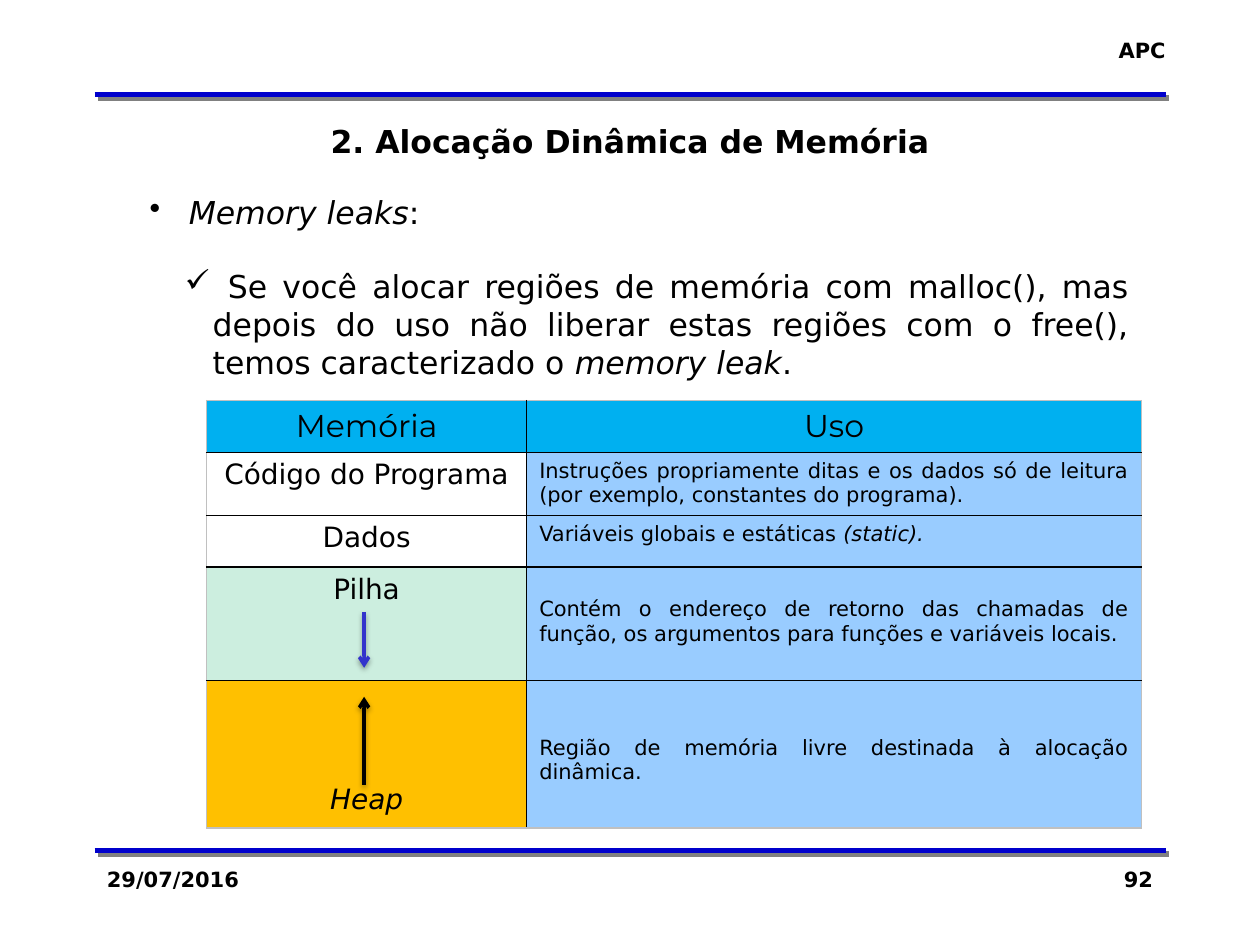
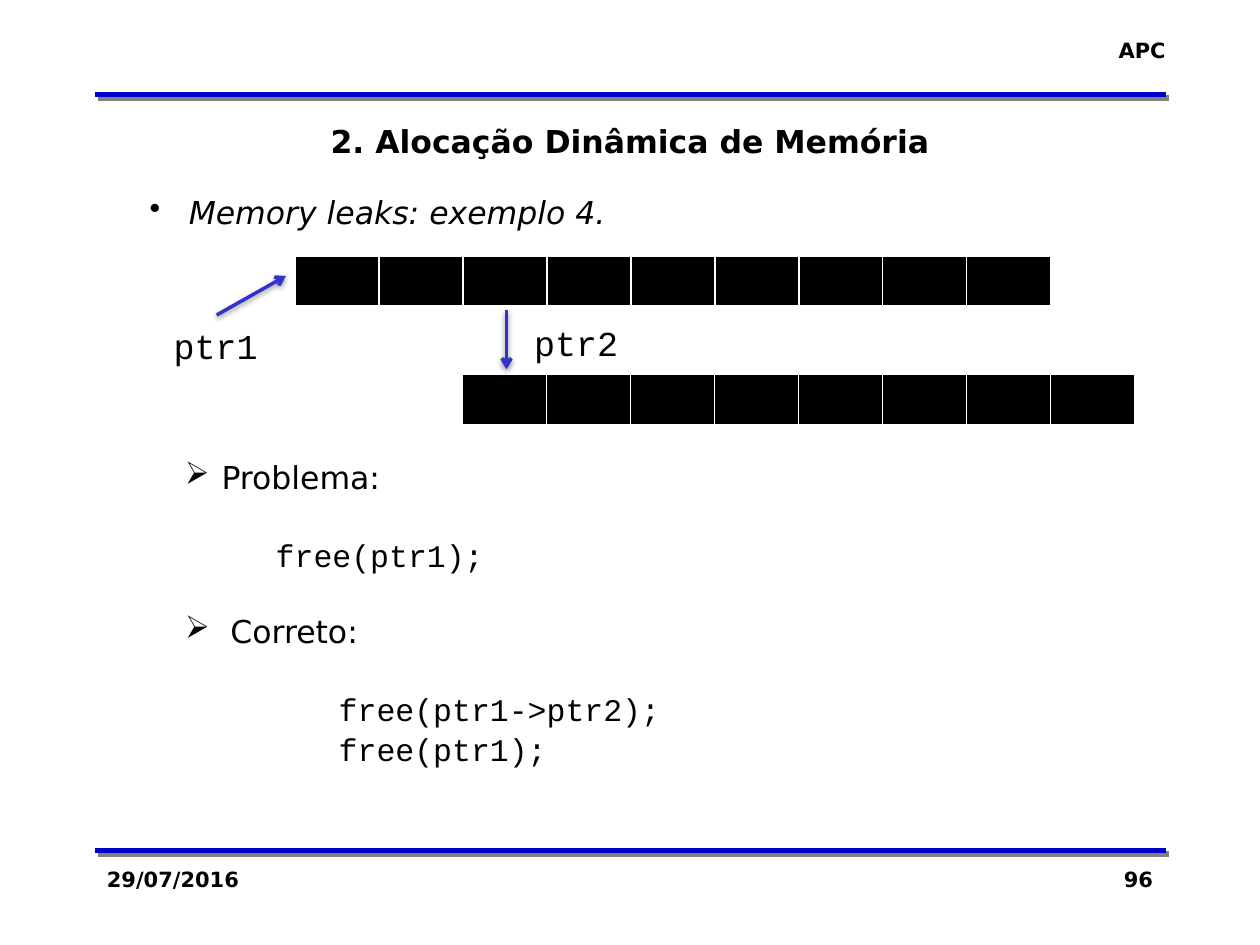
from lxml import etree
from pptx import Presentation
from pptx.dml.color import RGBColor
from pptx.enum.shapes import MSO_CONNECTOR
from pptx.enum.text import PP_ALIGN as Align
from pptx.oxml import parse_xml
from pptx.oxml.ns import nsdecls, qn
from pptx.util import Inches, Pt

COLORS = {
    "text": "000000", "rule": "0000CC", "rule_shadow": "808080",
    "arrow": "3333CC", "black": "000000", "white": "FFFFFF",
    "edge": "C0C0C0", "header": "00B0F0", "use": "99CCFF",
    "stack": "CCEEDF", "heap": "FFC000",
}
SANS, MONO, HEADING = "DejaVu Sans", "Courier New", "Montserrat"


class Deck:
    """Holds the shared style and the slide being drawn."""

    def __init__(self):
        self.prs = Presentation()
        self.prs.slide_width, self.prs.slide_height = Inches(10), Inches(7.5)
        self.s = None

    def new_slide(self, title, number):
        self.s = self.prs.slides.add_slide(self.prs.slide_layouts[6])
        for y in (6.75, 0.75):
            self.line(0.75, y, 9.25, y, "rule", 3, ("rule_shadow", 100, 0, 2.8, 45))
        self.text("APC", 8.77, 0.25, 0.58, 0.3, size=12, bold=True,
                  align=Align.RIGHT, wrap=False)
        self.text("29/07/2016", 0.75, 6.83, 2.08, 0.5, size=12, bold=True)
        self.text(number, 7.17, 6.83, 2.08, 0.5, size=12, bold=True, align=Align.RIGHT)
        self.text(title, 0.75, 0.92, 8.5, 0.4, bold=True, align=Align.CENTER)

    def line(self, x1, y1, x2, y2, color, width, shadow):
        """Shadow is colour, opacity in percent, blur and distance in points, angle."""
        line = self.s.shapes.add_connector(
            MSO_CONNECTOR.STRAIGHT, Inches(x1), Inches(y1), Inches(x2), Inches(y2))
        line.line.color.rgb = RGBColor.from_string(COLORS[color])
        line.line.width = Pt(width)
        shade, opacity, blur, distance, angle = shadow
        sp_pr = line._element.spPr
        sp_pr.append(parse_xml(
            f'<a:effectLst {nsdecls("a")}><a:outerShdw blurRad="{Pt(blur)}" '
            f'dist="{Pt(distance)}" dir="{angle * 60000}" rotWithShape="0">'
            f'<a:srgbClr val="{COLORS[shade]}"><a:alpha val="{opacity * 1000}"/>'
            '</a:srgbClr></a:outerShdw></a:effectLst>'))
        return line

    def arrow(self, x1, y1, x2, y2, color="arrow"):
        line = self.line(x1, y1, x2, y2, color, 2, ("black", 38, 3.1, 1.6, 90))
        ln = line._element.spPr.find(qn("a:ln"))
        etree.SubElement(ln, qn("a:tailEnd"), type="arrow")

    def fill_paragraph(self, p, text, size=18, font=SANS, bold=False, align=Align.LEFT):
        """Text is a string or a list of (string, italic) pairs."""
        p.alignment = align
        for words, italic in [(text, False)] if isinstance(text, str) else text:
            r = p.add_run()
            r.text = words
            r.font.name, r.font.size = font, Pt(size)
            r.font.bold, r.font.italic = bold, italic
            r.font.color.rgb = RGBColor.from_string(COLORS["text"])

    def text_frame(self, x, y, w, h, wrap=True):
        tf = self.s.shapes.add_textbox(Inches(x), Inches(y), Inches(w), Inches(h)).text_frame
        tf.word_wrap = wrap
        return tf

    def text(self, text, x, y, w, h, wrap=True, **style):
        self.fill_paragraph(self.text_frame(x, y, w, h, wrap).paragraphs[0], text, **style)

    def body(self, height, items):
        """Each item is text, bullet, left margin, hang, space before and font."""
        tf = self.text_frame(1.09, 1.48, 7.97, height)
        for i, (text, bullet, margin, hang, before, font) in enumerate(items):
            p = tf.add_paragraph() if i else tf.paragraphs[0]
            p_pr = p._p.get_or_add_pPr()
            p_pr.set("marL", str(Inches(margin)))
            p_pr.set("indent", str(-Inches(hang)))
            if bullet:
                etree.SubElement(p_pr, qn("a:buChar"), char=bullet)
            if before:
                p.space_before = Pt(before)
            self.fill_paragraph(p, text, font=font, align=Align.JUSTIFY)

    def table(self, x, y, widths, heights):
        rows, cols = len(heights), len(widths)
        table = self.s.shapes.add_table(
            rows, cols, Inches(x), Inches(y),
            Inches(sum(widths)), Inches(sum(heights))).table
        table.first_row = table.horz_banding = False
        for column, width in zip(table.columns, widths):
            column.width = Inches(width)
        for row, height in zip(table.rows, heights):
            row.height = Inches(height)
        return table

    def cell(self, cell, fill, borders):
        """Borders are (colour, points) for left, right, top and bottom."""
        cell.fill.solid()
        cell.fill.fore_color.rgb = RGBColor.from_string(COLORS[fill])
        tc_pr = cell._tc.get_or_add_tcPr()
        for i, (side, (color, width)) in enumerate(zip("LRTB", borders)):
            tc_pr.insert(i, parse_xml(
                f'<a:ln{side} {nsdecls("a")} w="{Pt(width)}"><a:solidFill>'
                f'<a:srgbClr val="{COLORS[color]}"/></a:solidFill></a:ln{side}>'))

    def memory_table(self, x, y, widths, rows):
        """Each row is height, left fill, right fill and two (text, top margin, style)."""
        table = self.table(x, y, widths, [row[0] for row in rows])
        inner, outer = ("black", 1), ("edge", 1)
        last_row, last_col = len(rows) - 1, len(widths) - 1
        for i, (_, *fills, left, right) in enumerate(rows):
            for j, (text, top, style) in enumerate((left, right)):
                cell = table.cell(i, j)
                at_edges = (j == 0, j == last_col, i == 0, i == last_row)
                self.cell(cell, fills[j], [outer if edge else inner for edge in at_edges])
                cell.margin_top = Inches(top)
                self.fill_paragraph(cell.text_frame.paragraphs[0], text, **style)

    def array(self, x, y, length):
        table = self.table(x, y, [2 / 3] * length, [0.41])
        for cell in table.iter_cells():
            self.cell(cell, "black", [("white", 1)] * 3 + [("white", 3)])


def memory_leak_slide(deck):
    deck.new_slide("2. Alocação Dinâmica de Memória", "92")
    deck.body(1.62, [
        ([("Memory leaks", True), (":", False)], "•", 0.31, 0.31, 0, SANS),
        ([(" Se você alocar regiões de memória com malloc(), mas depois do uso não "
           "liberar estas regiões com o free(), temos caracterizado o ", False),
          ("memory leak", True), (".", False)], "✓", 0.5, 0.22, 21, SANS),
    ])
    header = dict(font=HEADING, align=Align.CENTER)
    region = dict(size=16, align=Align.CENTER)
    use = dict(size=12, align=Align.JUSTIFY)
    deck.memory_table(1.64, 3.18, [2.54, 4.88], [
        (0.41, "header", "header", ("Memória", 0.05, header), ("Uso", 0.05, header)),
        (0.5, "white", "use", ("Código do Programa", 0.05, region),
         ("Instruções propriamente ditas e os dados só de leitura "
          "(por exemplo, constantes do programa).", 0.05, use)),
        (0.41, "white", "use", ("Dados", 0.05, region),
         ([("Variáveis globais e estáticas ", False), ("(static).", True)], 0.05, use)),
        (0.9, "stack", "use", ("Pilha", 0.05, region),
         ("Contém o endereço de retorno das chamadas de função, "
          "os argumentos para funções e variáveis locais.", 0.24, use)),
        (1.17, "heap", "use", ([("Heap", True)], 0.82, region),
         ("Região de memória livre destinada à alocação dinâmica.", 0.44, use)),
    ])
    deck.arrow(2.89, 6.23, 2.89, 5.53, "black")
    deck.arrow(2.89, 4.86, 2.89, 5.3)


def example_slide(deck):
    deck.new_slide("2. Alocação Dinâmica de Memória", "96")
    deck.body(4.95, [
        ([("Memory leaks: exemplo 4.", True)], "•", 0.31, 0.31, 0, SANS),
        ("Problema:", "➢", 0.57, 0.29, 130, SANS),
        ("free(ptr1);", None, 1, 0, 23, MONO),
        ("Correto:", "➢", 0.64, 0.36, 22, SANS),
        ("free(ptr1->ptr2);", None, 1.5, 0, 23, MONO),
        ("free(ptr1);", None, 1.5, 0, 1, MONO),
    ])
    deck.array(2.34, 2.03, 9)
    deck.array(3.67, 2.97, 8)
    deck.arrow(1.72, 2.5, 2.27, 2.19)
    deck.arrow(4.02, 2.46, 4.02, 2.93)
    for label, x, y in (("ptr2", 4.14, 2.5), ("ptr1", 1.28, 2.53)):
        deck.text(label, x, y, 0.88, 0.44, size=20, font=MONO, wrap=False)


def main():
    deck = Deck()
    memory_leak_slide(deck)
    example_slide(deck)
    deck.prs.save("out.pptx")


if __name__ == "__main__":
    main()
